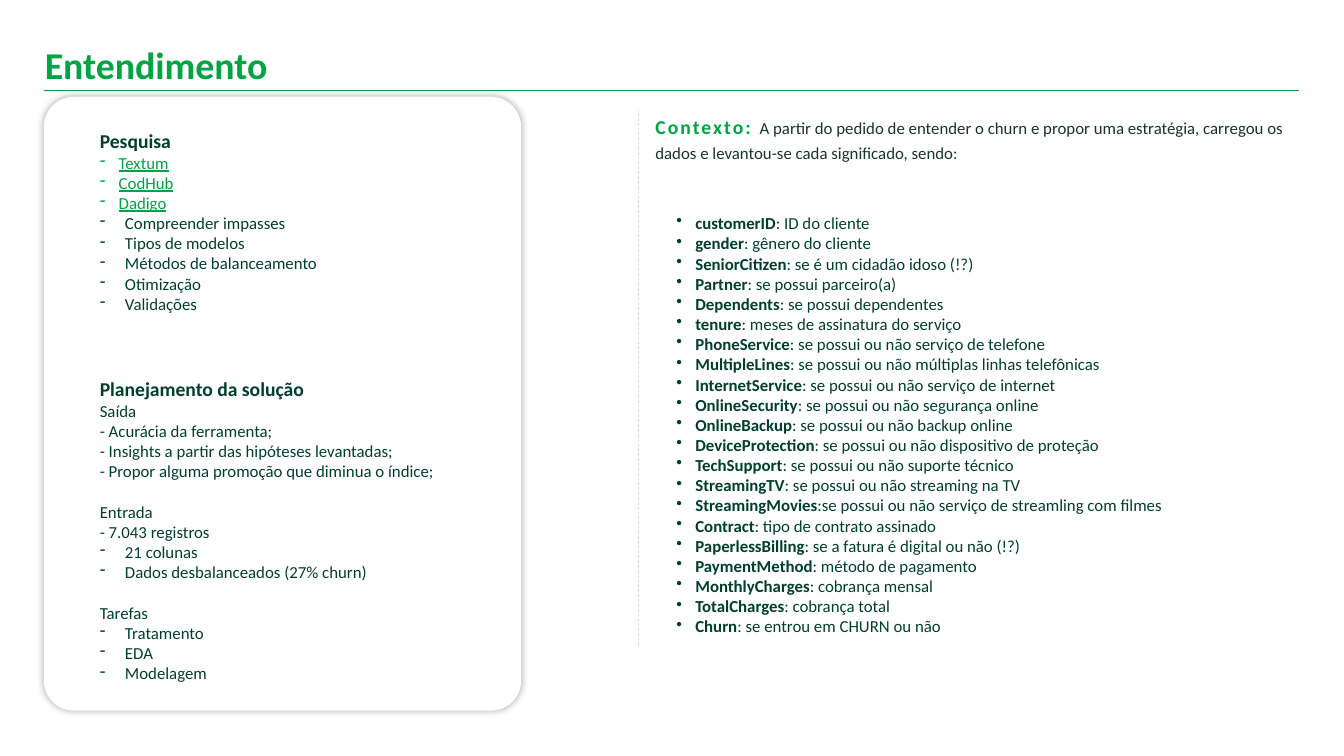
"""Build the "Entendimento" slide: research, plan and data dictionary."""
from lxml.etree import SubElement
from pptx import Presentation
from pptx.dml.color import RGBColor
from pptx.enum.dml import MSO_LINE
from pptx.enum.shapes import MSO_CONNECTOR, MSO_SHAPE
from pptx.enum.text import MSO_ANCHOR
from pptx.oxml.ns import qn
from pptx.util import Pt

FONT = "Calibri"
GREEN = RGBColor(0x00, 0xA4, 0x43)
LINK_GREEN = RGBColor(0x00, 0xA3, 0x43)
DARK_GREEN = RGBColor(0x00, 0x40, 0x2A)
INK = RGBColor(0x18, 0x34, 0x29)
GREY = RGBColor(0xD9, 0xD9, 0xD9)
WHITE = RGBColor(0xFF, 0xFF, 0xFF)

HEADING = dict(size=28, bold=True)
LINK = dict(color=LINK_GREEN, underline=True)
LINK_ITEM = dict(bullet="-", indent=27)
ITEM = dict(bullet="-", indent=36)
FIELD = dict(bullet="•", indent=27)
GAP = dict(before=29.3)

SITES = ["Textum", "CodHub", "Dadigo"]
TOPICS = ["Compreender impasses", "Tipos de modelos", "Métodos de balanceamento",
          "Otimização", "Validações"]
PLAN = [
    ("Planejamento da solução", HEADING, {}),
    ("Saída", {}, {}),
    ("- Acurácia da ferramenta;", {}, {}),
    ("- Insights a partir das hipóteses levantadas;", {}, {}),
    ("- Propor alguma promoção que diminua o índice;", {}, {}),
    ("Entrada", {}, GAP),
    ("- 7.043 registros", {}, {}),
    ("21 colunas", {}, ITEM),
    ("Dados desbalanceados (27% churn)", {}, ITEM),
    ("Tarefas", {}, GAP),
    ("Tratamento", {}, ITEM),
    ("EDA", {}, ITEM),
    ("Modelagem", {}, ITEM),
]
CONTEXT = ("A partir do pedido de entender o churn e propor uma estratégia, "
           "carregou os dados e levantou-se cada significado, sendo:")
FIELDS = [
    ("customerID", ": ID do cliente"),
    ("gender", ": gênero do cliente"),
    ("SeniorCitizen", ": se é um cidadão idoso (!?)"),
    ("Partner", ": se possui parceiro(a)"),
    ("Dependents", ": se possui dependentes"),
    ("tenure", ": meses de assinatura do serviço"),
    ("PhoneService", ": se possui ou não serviço de telefone"),
    ("MultipleLines", ": se possui ou não múltiplas linhas telefônicas"),
    ("InternetService", ": se possui ou não serviço de internet"),
    ("OnlineSecurity", ": se possui ou não segurança online"),
    ("OnlineBackup", ": se possui ou não backup online"),
    ("DeviceProtection", ": se possui ou não dispositivo de proteção"),
    ("TechSupport", ": se possui ou não suporte técnico"),
    ("StreamingTV", ": se possui ou não streaming na TV"),
    ("StreamingMovies", ":se possui ou não serviço de streamling com filmes"),
    ("Contract", ": tipo de contrato assinado"),
    ("PaperlessBilling", ": se a fatura é digital ou não (!?)"),
    ("PaymentMethod", ": método de pagamento"),
    ("MonthlyCharges", ": cobrança mensal"),
    ("TotalCharges", ": cobrança total"),
    ("Churn", ": se entrou em CHURN ou não"),
]


def add_run(p, text, size=24, color=DARK_GREEN, bold=False, underline=None, spacing=0):
    r = p.add_run()
    r.text = text
    r.font.name, r.font.size, r.font.bold = FONT, Pt(size), bold
    r.font.underline = underline
    r.font.color.rgb = color
    if spacing:
        r.font._element.set("spc", str(spacing * 100))


def format_paragraph(p, bullet=None, indent=0, before=0, line_spacing=None):
    p.space_before = Pt(before)
    if line_spacing:
        p.line_spacing = line_spacing
    if bullet:
        pPr = p._p.get_or_add_pPr()
        pPr.set("marL", str(Pt(indent)))
        pPr.set("indent", str(-Pt(indent)))
        SubElement(pPr, qn("a:buChar"), char=bullet)


def add_text(slide, box, paragraphs, anchor=MSO_ANCHOR.MIDDLE, inset=True):
    tf = slide.shapes.add_textbox(*map(Pt, box)).text_frame
    tf.word_wrap = True
    tf.vertical_anchor = anchor
    if not inset:
        tf.margin_left = tf.margin_right = tf.margin_top = tf.margin_bottom = 0
    for i, (runs, layout) in enumerate(paragraphs):
        p = tf.add_paragraph() if i else tf.paragraphs[0]
        format_paragraph(p, **layout)
        for text, style in runs:
            add_run(p, text, **style)


def add_line(slide, ends, color, width, dash=None):
    line = slide.shapes.add_connector(MSO_CONNECTOR.STRAIGHT, *map(Pt, ends))
    line.line.color.rgb = color
    line.line.width = Pt(width)
    line.line.dash_style = dash
    SubElement(line._element.spPr, qn("a:effectLst"))


def add_card(slide, box):
    sp = slide.shapes.add_shape(MSO_SHAPE.ROUNDED_RECTANGLE, *map(Pt, box))
    sp.adjustments[0] = 0.063
    sp.fill.solid()
    sp.fill.fore_color.rgb = WHITE
    sp.line.fill.background()
    sp.shadow.inherit = False
    effects = sp._element.spPr.find(qn("a:effectLst"))
    shadow = SubElement(effects, qn("a:outerShdw"), blurRad=str(Pt(10)),
                        dist="0", dir="0", algn="ctr", rotWithShape="0")
    black = SubElement(shadow, qn("a:srgbClr"), val="000000")
    SubElement(black, qn("a:alpha"), val="30000")


def main():
    prs = Presentation()
    prs.slide_width, prs.slide_height = Pt(1919.5), Pt(1080)
    slide = prs.slides.add_slide(prs.slide_layouts[6])
    lead = dict(before=12, line_spacing=1.2)

    add_card(slide, (62.6, 138.2, 681.8, 877))
    title = [("Entendimento", dict(size=54, color=GREEN, bold=True))]
    add_text(slide, (64, 46.8, 1791.4, 82), [(title, lead)], MSO_ANCHOR.TOP, inset=False)
    add_line(slide, (62.6, 128.9, 1855.4, 128.9), LINK_GREEN, 0.5)

    research = [([("Pesquisa", HEADING)], {})]
    research += [([(site, LINK)], LINK_ITEM) for site in SITES]
    research += [([(topic, {})], ITEM) for topic in TOPICS]
    add_text(slide, (135.4, 157.7, 536.4, 316.8), research)

    add_line(slide, (911.5, 922.3, 911.5, 157.7), GREY, 1, MSO_LINE.DASH)
    plan = [([(text, style)], layout) for text, style, layout in PLAN]
    add_text(slide, (135.4, 512.6, 536.4, 488.9), plan)

    context = [("Contexto: ", dict(size=28, color=GREEN, bold=True, spacing=3)),
               (CONTEXT, dict(color=INK))]
    add_text(slide, (936, 157.7, 907.9, 105.1), [(context, lead)], MSO_ANCHOR.TOP, inset=False)
    fields = [([(name, dict(bold=True)), (meaning, {})], FIELD) for name, meaning in FIELDS]
    add_text(slide, (959, 281.5, 858.2, 650.2), fields)

    prs.save("out.pptx")


if __name__ == "__main__":
    main()
